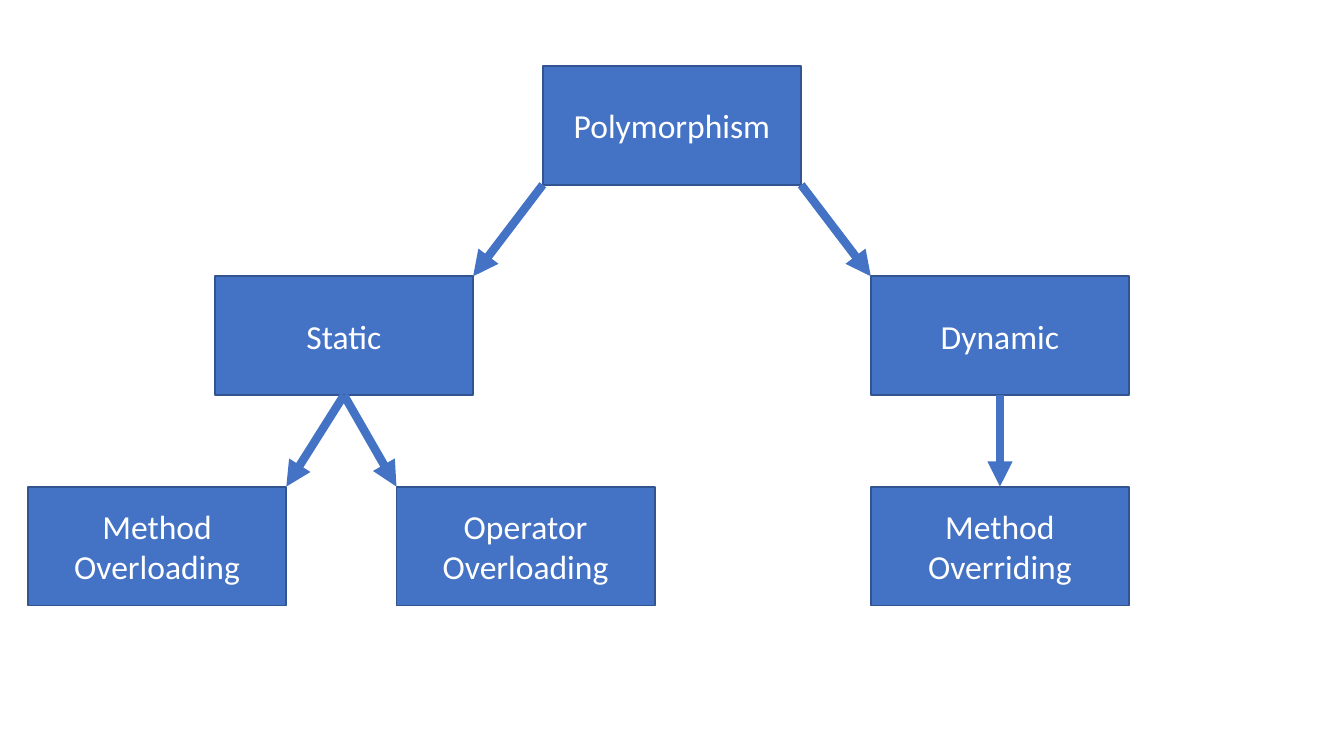
import dataclasses

import lxml.etree
import pptx
import pptx.dml.color
import pptx.enum.shapes
import pptx.enum.text
import pptx.oxml.ns
import pptx.util

Pt = pptx.util.Pt


@dataclasses.dataclass(frozen=True)
class Theme:
    fill: str = "4472C4"
    outline: str = "325491"
    text: str = "FFFFFF"
    font: str = "Calibri"
    text_size: float = 18
    outline_width: float = 1
    arrow_width: float = 4.5


THEME = Theme()
SLIDE_WIDTH, SLIDE_HEIGHT = 720, 405
BOX_WIDTH, BOX_HEIGHT = 138.4, 63.7
ROW_PITCH = 112.7
CHART_BOX = (15, 35.3, 589.9, 2 * ROW_PITCH + BOX_HEIGHT)

# Label: (left offset within the chart, row)
NODES = {
    "Polymorphism": (275.8, 0),
    "Static": (100.1, 1),
    "Dynamic": (451.5, 1),
    "Method Overloading": (0, 2),
    "Operator Overloading": (197.4, 2),
    "Method Overriding": (451.5, 2),
}

# Parent, child, and where the arrow leaves and lands as a share of box width
BRANCHES = [
    ("Polymorphism", "Static", 0, 1),
    ("Polymorphism", "Dynamic", 1, 0),
    ("Static", "Method Overloading", 0.5, 1),
    ("Static", "Operator Overloading", 0.5, 0),
    ("Dynamic", "Method Overriding", 0.5, 0.5),
]


def color(value):
    return pptx.dml.color.RGBColor.from_string(value)


def set_attributes(target, values):
    for name, value in values.items():
        setattr(target, name, value)


def add_node(slide, label, box):
    shape = slide.shapes.add_shape(
        pptx.enum.shapes.MSO_SHAPE.RECTANGLE, *map(Pt, box))
    shape.shadow.inherit = False
    shape.fill.solid()
    shape.fill.fore_color.rgb = color(THEME.fill)
    shape.line.color.rgb = color(THEME.outline)
    shape.line.width = Pt(THEME.outline_width)

    frame = shape.text_frame
    set_attributes(frame, {
        "word_wrap": True,
        "vertical_anchor": pptx.enum.text.MSO_ANCHOR.MIDDLE,
    })
    paragraph = frame.paragraphs[0]
    paragraph.text = label
    paragraph.alignment = pptx.enum.text.PP_ALIGN.CENTER
    font = paragraph.runs[0].font
    set_attributes(font, {"name": THEME.font, "size": Pt(THEME.text_size)})
    font.color.rgb = color(THEME.text)


def add_arrow(slide, start, end):
    connector = slide.shapes.add_connector(
        pptx.enum.shapes.MSO_CONNECTOR.STRAIGHT, *map(Pt, start + end))
    connector.line.color.rgb = color(THEME.fill)
    connector.line.width = Pt(THEME.arrow_width)
    qualified = pptx.oxml.ns.qn
    properties = connector._element.spPr
    lxml.etree.SubElement(
        properties.find(qualified("a:ln")), qualified("a:tailEnd"), type="triangle")
    lxml.etree.SubElement(properties, qualified("a:effectLst"))


def add_hierarchy(slide, box):
    left, top, width, height = box
    row_pitch = (height - BOX_HEIGHT) / 2
    node_boxes = {
        label: (left + offset, top + row * row_pitch, BOX_WIDTH, BOX_HEIGHT)
        for label, (offset, row) in NODES.items()
    }
    for label, node_box in node_boxes.items():
        add_node(slide, label, node_box)
    for parent, child, leave, land in BRANCHES:
        parent_left, parent_top, parent_width, parent_height = node_boxes[parent]
        child_left, child_top, child_width, _ = node_boxes[child]
        add_arrow(
            slide,
            (parent_left + leave * parent_width, parent_top + parent_height),
            (child_left + land * child_width, child_top),
        )


def main():
    presentation = pptx.Presentation()
    set_attributes(presentation, {
        "slide_width": Pt(SLIDE_WIDTH),
        "slide_height": Pt(SLIDE_HEIGHT),
    })
    blank_layout = presentation.slide_layouts[6]
    slide = presentation.slides.add_slide(blank_layout)
    add_hierarchy(slide, CHART_BOX)
    presentation.save("out.pptx")


if __name__ == "__main__":
    main()
